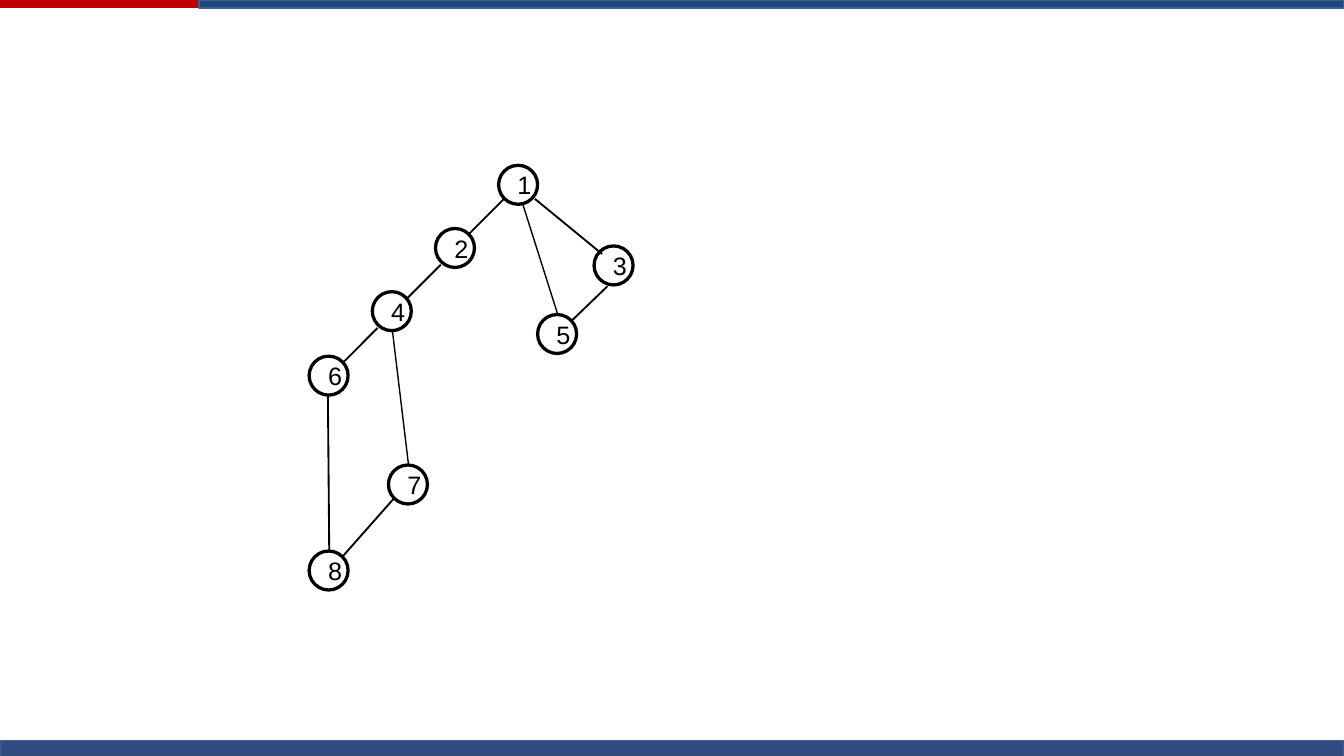
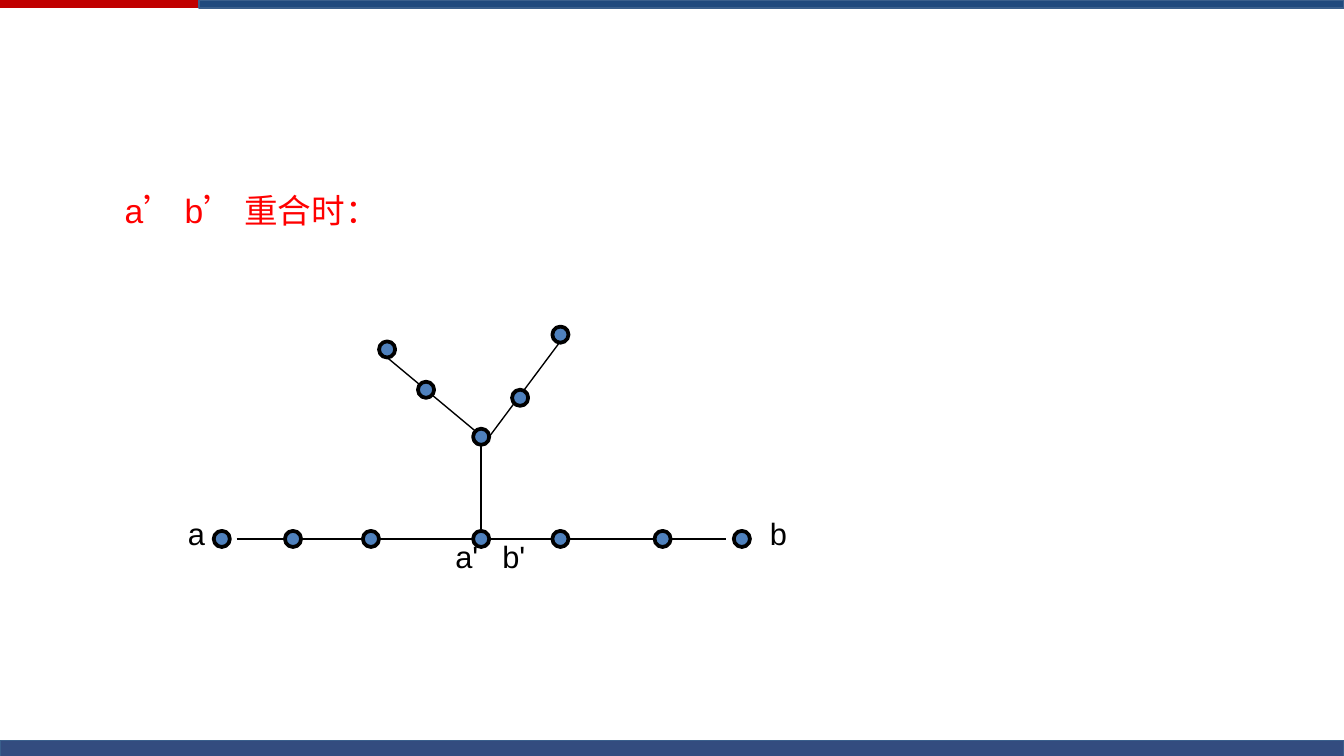
from collections import namedtuple
from dataclasses import dataclass

from lxml import etree
from pptx import Presentation
from pptx.dml.color import RGBColor
from pptx.enum.shapes import MSO_CONNECTOR, MSO_SHAPE
from pptx.enum.text import MSO_ANCHOR, PP_ALIGN
from pptx.oxml.ns import qn
from pptx.util import Inches, Pt

RECTANGLE = MSO_SHAPE.RECTANGLE
OVAL = MSO_SHAPE.OVAL
STRAIGHT = MSO_CONNECTOR.STRAIGHT
TOP, MIDDLE, BOTTOM = MSO_ANCHOR.TOP, MSO_ANCHOR.MIDDLE, MSO_ANCHOR.BOTTOM
LEFT, CENTER = PP_ALIGN.LEFT, PP_ALIGN.CENTER

Box = namedtuple("Box", "left top width height")


@dataclass(frozen=True)
class Theme:
    font: str = "Arial"
    ink: str = "000000"
    accent: str = "FF0000"
    dot: str = "4F81BD"
    band_red: str = "C00000"
    band_blue: str = "1F497D"
    band_navy: str = "002060"
    band_line: str = "3A5F8C"
    heading_size: float = 18
    label_size: float = 16.5
    node_size: float = 13.5
    node_line: float = 1.75
    dot_line: float = 2
    edge_line: float = 1
    thin_line: float = 0.75


THEME = Theme()
PAGE = Box(0, 0, 10, 10 * 9 / 16)

NODE_DIAMETER = 0.29
NODES = {
    "1": (1.41, 0), "2": (0.94, 0.47), "3": (2.12, 0.6), "4": (0.47, 0.94),
    "5": (1.7, 1.11), "6": (0, 1.42), "7": (0.59, 2.23), "8": (0, 2.87),
}
EDGES = [
    (1.45, 0.25, 1.19, 0.51), (0.98, 0.74, 0.72, 1), (0.51, 1.21, 0.25, 1.47),
    (0.25, 2.91, 0.63, 2.48), (1.68, 0.25, 2.18, 0.66),
    (2.22, 0.9, 1.95, 1.16), (0.14, 1.72, 0.15, 2.87),
]
THIN_EDGES = [(0.62, 1.23, 0.74, 2.23), (1.59, 0.29, 1.85, 1.11)]

DOT_DIAMETER = 0.12
AXIS_TOP = 1.52
AXIS_DOTS = [0.29, 0.82, 1.4, 2.22, 2.81, 3.57, 4.16]
AXIS_STARTS = [0.46, 1.28, 2.34, 3.16]
AXIS_SEGMENT = 0.94
BRANCH_DOTS = [(2.22, 0.76), (1.52, 0.11), (2.81, 0), (1.81, 0.41), (2.51, 0.47)]
BRANCHES = [
    (2.28, 1.52, 2.28, 0.88), (2.34, 0.82, 2.87, 0.11), (2.24, 0.78, 1.58, 0.23),
]
PATH_LABELS = [
    ("a", 0, 1.35, 0.23), ("b", 4.33, 1.35, 0.23),
    ("a'", 1.99, 1.52, 0.41), ("b'", 2.34, 1.52, 0.41),
]


def inside(box, left, top, width, height):
    return Box(box.left + left, box.top + top, width, height)


def write(shape, text, size, color, anchor=TOP, align=LEFT):
    frame = shape.text_frame
    for name, value in {"word_wrap": True, "vertical_anchor": anchor}.items():
        setattr(frame, name, value)
    para = frame.paragraphs[0]
    para.alignment = align
    span = para.add_run()
    span.text = text
    for name, value in {"name": THEME.font, "size": Pt(size)}.items():
        setattr(span.font, name, value)
    span.font.color.rgb = RGBColor.from_string(color)


def add_text(page, box, text, size, color, anchor=TOP):
    shape = page.shapes.add_textbox(*map(Inches, box))
    write(shape, text, size, color, anchor)


def add_figure(page, kind, box, fill=None, line=None, width=0):
    shape = page.shapes.add_shape(kind, *map(Inches, box))
    shape.shadow.inherit = False
    if fill:
        shape.fill.solid()
        shape.fill.fore_color.rgb = RGBColor.from_string(fill)
    else:
        shape.fill.background()
    if line:
        shape.line.color.rgb = RGBColor.from_string(line)
        shape.line.width = Pt(width)
    else:
        shape.line.fill.background()
    return shape


def add_edges(page, box, edges, width):
    for x1, y1, x2, y2 in edges:
        ends = (box.left + x1, box.top + y1, box.left + x2, box.top + y2)
        edge = page.shapes.add_connector(STRAIGHT, *map(Inches, ends))
        edge.line.color.rgb = RGBColor.from_string(THEME.ink)
        edge.line.width = Pt(width)
        properties = edge._element.find(qn("p:spPr"))
        etree.SubElement(properties, qn("a:effectLst"))


def add_bands(page, box):
    add_figure(page, RECTANGLE, inside(box, 0, 0, box.width, 0.06), THEME.band_red)
    add_figure(page, RECTANGLE, inside(box, 1.48, 0, box.width - 1.48, 0.06),
               THEME.band_blue, THEME.band_line)
    footer = add_figure(page, RECTANGLE, inside(box, 0, 5.51, box.width, 0.12),
                        THEME.band_navy, THEME.band_line)
    color = footer._element.spPr.find(qn("a:solidFill")).find(qn("a:srgbClr"))
    etree.SubElement(color, qn("a:alpha"), val="80000")


def add_numbered_graph(page, box):
    add_edges(page, box, EDGES, THEME.edge_line)
    add_edges(page, box, THIN_EDGES, THEME.thin_line)
    for number, (left, top) in NODES.items():
        place = inside(box, left, top, NODE_DIAMETER, NODE_DIAMETER)
        node = add_figure(page, OVAL, place, line=THEME.ink, width=THEME.node_line)
        write(node, number, THEME.node_size, THEME.ink, MIDDLE, CENTER)


def add_path_diagram(page, box):
    axis = AXIS_TOP + DOT_DIAMETER / 2
    segments = [(start, axis, start + AXIS_SEGMENT, axis) for start in AXIS_STARTS]
    add_edges(page, box, segments + BRANCHES, THEME.thin_line)
    for left, top in [(left, AXIS_TOP) for left in AXIS_DOTS] + BRANCH_DOTS:
        place = inside(box, left, top, DOT_DIAMETER, DOT_DIAMETER)
        add_figure(page, OVAL, place, THEME.dot, THEME.ink, THEME.dot_line)
    for text, left, top, width in PATH_LABELS:
        place = inside(box, left, top, width, 0.38)
        add_text(page, place, text, THEME.label_size, THEME.ink)


def add_page(deck):
    page = deck.slides.add_slide(deck.slide_layouts[6])
    add_bands(page, PAGE)
    return page


def main():
    deck = Presentation()
    deck.slide_width, deck.slide_height = Inches(PAGE.width), Inches(PAGE.height)

    add_numbered_graph(add_page(deck), Box(2.3, 1.23, 2.41, 3.16))

    page = add_page(deck)
    add_text(page, Box(0.83, 1.08, 6.5, 0.68), "a’ b’ 重合时：",
             THEME.heading_size, THEME.accent, BOTTOM)
    add_path_diagram(page, Box(1.3, 2.43, 4.56, 1.9))

    deck.save("out.pptx")


if __name__ == "__main__":
    main()
